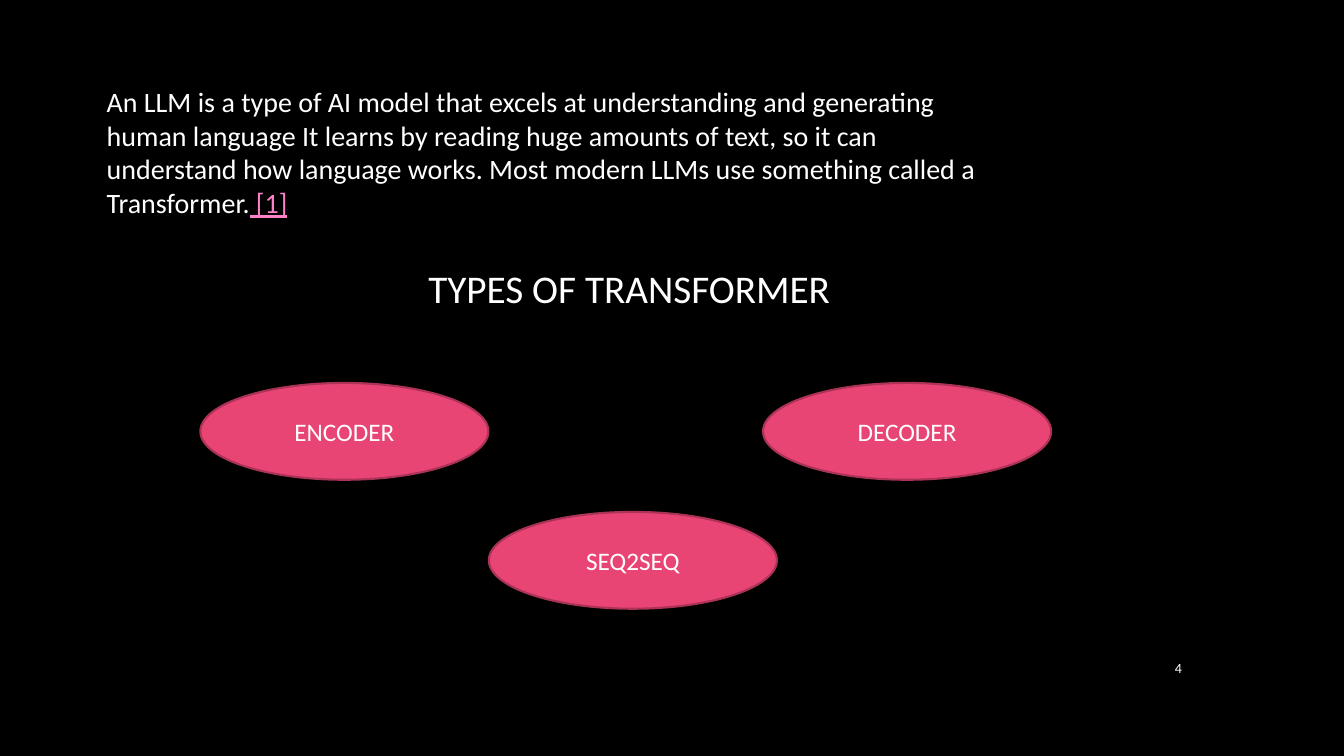
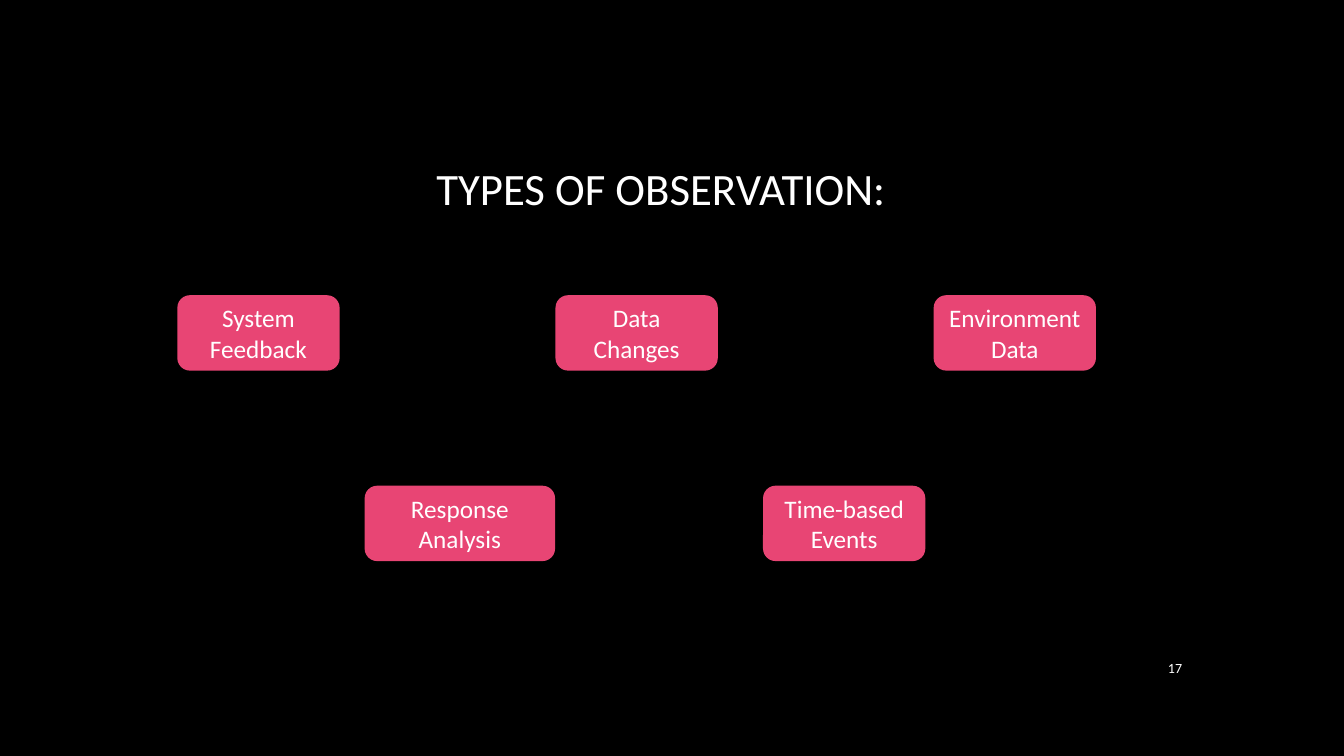
import dataclasses

import pptx
import pptx.dml.color
import pptx.enum.shapes
import pptx.enum.text
import pptx.util

Cm = pptx.util.Cm
Pt = pptx.util.Pt
SHAPE = pptx.enum.shapes.MSO_SHAPE
ALIGN = pptx.enum.text.PP_ALIGN
ANCHOR = pptx.enum.text.MSO_ANCHOR


def rgb(value):
    return pptx.dml.color.RGBColor.from_string(value)


@dataclasses.dataclass(frozen=True)
class Theme:
    font: str = "Calibri"
    background: str = "000000"
    text: str = "FFFFFF"
    accent: str = "E84574"
    outline: str = "AC3356"
    link: str = "FE80C7"
    heading_size: int = 28
    large_heading_size: int = 32
    body_size: int = 20
    label_size: int = 18
    number_size: int = 10


class Deck:
    def __init__(self, theme):
        self.theme = theme
        self.prs = pptx.Presentation()
        self.prs.slide_width = Cm(33.87)
        self.prs.slide_height = Cm(19.05)
        fill = self.prs.slide_master.background.fill
        fill.solid()
        fill.fore_color.rgb = rgb(theme.background)
        self.s = None

    def slide(self, number):
        self.s = self.prs.slides.add_slide(self.prs.slide_layouts[5])
        self.text(28.52, 16.31, 1.52, 1.04, [(str(number), self.theme.text)],
                  self.theme.number_size, ALIGN.RIGHT, ANCHOR.MIDDLE)

    def set_text(self, sp, runs, size, align, anchor):
        tf = sp.text_frame
        tf.word_wrap = True
        tf.auto_size = pptx.enum.text.MSO_AUTO_SIZE.NONE
        tf.vertical_anchor = anchor
        p = tf.paragraphs[0]
        p.alignment = align
        for text, color in runs:
            r = p.add_run()
            r.text = text
            r.font.name = self.theme.font
            r.font.size = Pt(size)
            r.font.color.rgb = rgb(color)
            if color == self.theme.link:
                r.font.underline = True

    def title(self, x, y, w, h, text, size):
        sp = self.s.shapes.title
        sp.left, sp.top, sp.width, sp.height = Cm(x), Cm(y), Cm(w), Cm(h)
        self.set_text(sp, [(text, self.theme.text)], size, ALIGN.LEFT, ANCHOR.TOP)

    def text(self, x, y, w, h, runs, size, align=ALIGN.LEFT, anchor=ANCHOR.TOP):
        sp = self.s.shapes.add_textbox(Cm(x), Cm(y), Cm(w), Cm(h))
        self.set_text(sp, runs, size, align, anchor)

    def node(self, kind, x, y, w, h, label, outlined=False):
        sp = self.s.shapes.add_shape(kind, Cm(x), Cm(y), Cm(w), Cm(h))
        sp.shadow.inherit = False
        sp.fill.solid()
        sp.fill.fore_color.rgb = rgb(self.theme.accent)
        if outlined:
            sp.line.color.rgb = rgb(self.theme.outline)
            sp.line.width = Pt(1.5)
        else:
            sp.line.fill.background()
        self.set_text(sp, [(label, self.theme.text)], self.theme.label_size,
                      ALIGN.CENTER, ANCHOR.MIDDLE)


def transformer_slide(deck):
    theme = deck.theme
    deck.slide(4)
    deck.text(2.44, 2.01, 23.06, 3.68, [
        ("An LLM is a type of AI model that excels at understanding and "
         "generating human language It learns by reading huge amounts of text, "
         "so it can understand how language works. Most modern LLMs use "
         "something called a Transformer.", theme.text),
        (" [1]", theme.link),
    ], theme.body_size)
    deck.title(10.54, 6.53, 10.85, 1.45, "TYPES OF TRANSFORMER",
               theme.heading_size)
    for label, x, y in (("ENCODER", 5.05, 9.65),
                        ("SEQ2SEQ", 12.32, 12.9),
                        ("DECODER", 19.23, 9.65)):
        deck.node(SHAPE.OVAL, x, y, 7.26, 2.44, label, outlined=True)


def observation_slide(deck):
    deck.slide(17)
    deck.title(10.74, 3.91, 12.55, 1.63, "TYPES OF OBSERVATION:",
               deck.theme.large_heading_size)
    width, left, pitch, top, bottom = 4.09, 4.47, 9.53, 7.44, 12.24
    labels = ("System Feedback", "Data Changes", "Environment Data")
    nodes = [(label, left + i * pitch, top, width)
             for i, label in enumerate(labels)]
    nodes += [("Response Analysis", 9.19, bottom, 4.8),
              ("Time-based Events", 19.23, bottom, width)]
    for label, x, y, w in nodes:
        deck.node(SHAPE.FLOWCHART_ALTERNATE_PROCESS, x, y, w, 1.9, label)


def main():
    deck = Deck(Theme())
    transformer_slide(deck)
    observation_slide(deck)
    deck.prs.save("out.pptx")


if __name__ == "__main__":
    main()
